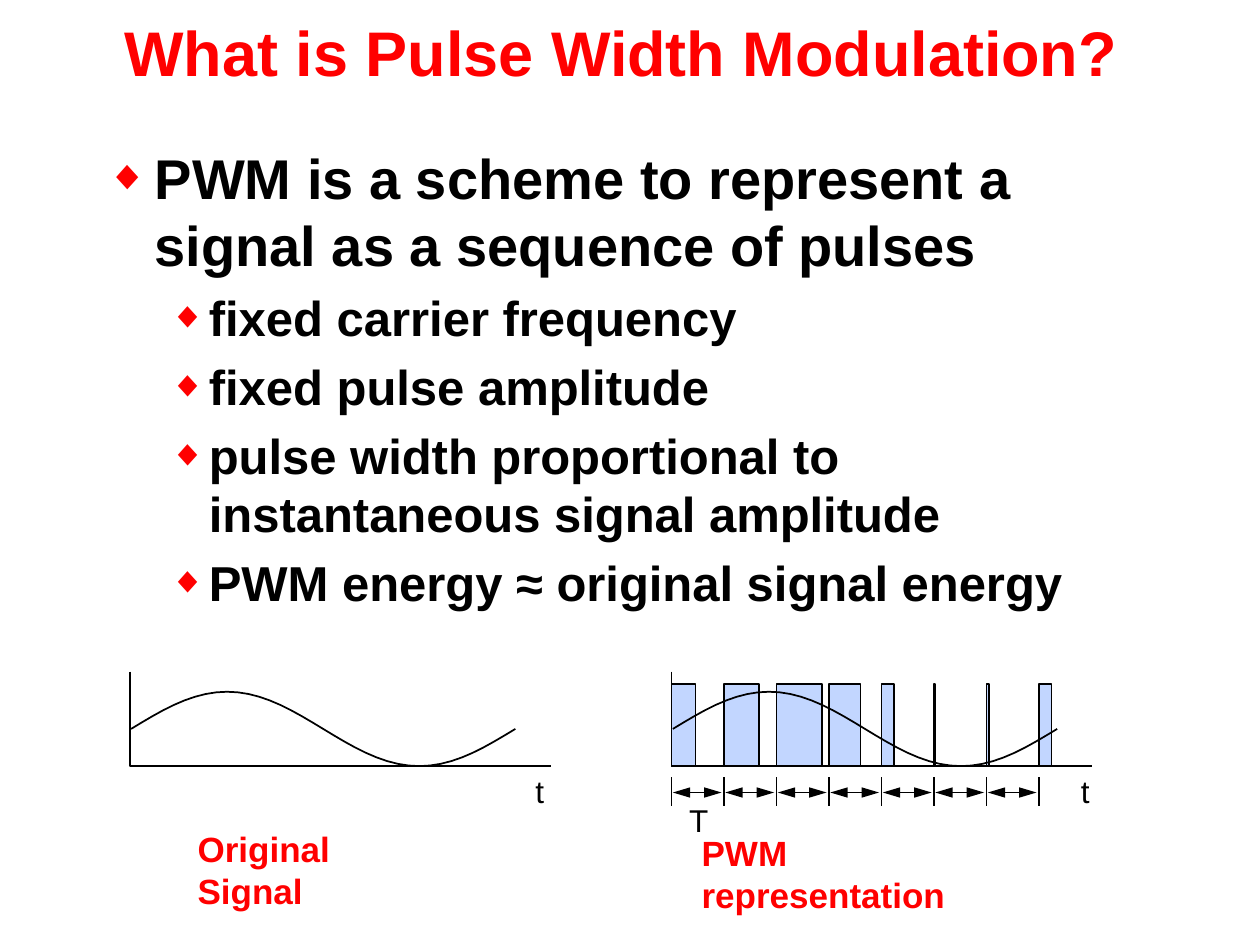
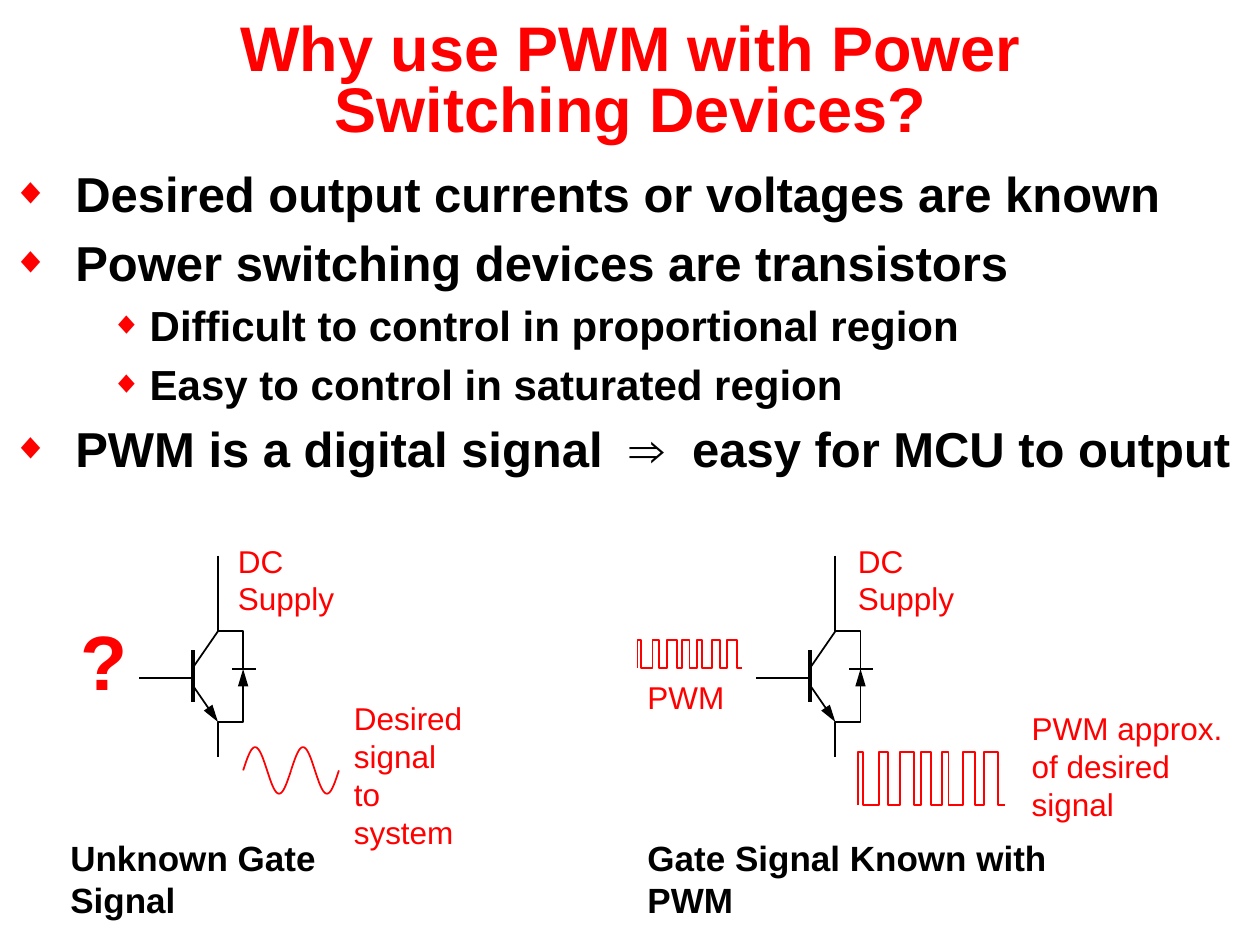
import math

import pptx
import pptx.dml.color
import pptx.enum.shapes
import pptx.enum.text
import pptx.oxml.ns
import pptx.util
from lxml import etree

Inches = pptx.util.Inches
FONT = "Arial"
RED, BLACK, PULSE_BLUE = "FF0000", "000000", "C2D6FF"
TITLE_ONLY = 5


# ---- Shared formatting ----
def colour(value):
    return pptx.dml.color.RGBColor.from_string(value)


def add_child(parent, tag, **attributes):
    child = etree.SubElement(parent, pptx.oxml.ns.qn(tag))
    for name, value in attributes.items():
        child.set(name, str(value))
    return child


def write_paragraph(para, text, size=18, color=BLACK, bold=False):
    span = para.add_run()
    span.text = text
    span.font.name = FONT
    span.font.size = pptx.util.Pt(size)
    span.font.bold = bold
    span.font.color.rgb = colour(color)


def add_text(page, box, text, wrap=False, **style):
    """Place a text box; each line of the text is a paragraph."""
    shape = page.shapes.add_textbox(*map(Inches, box))
    frame = shape.text_frame
    frame.word_wrap = wrap
    for index, line in enumerate(text.split("\n")):
        para = frame.add_paragraph() if index else frame.paragraphs[0]
        write_paragraph(para, line, **style)
    return shape


def format_line(shape, color=BLACK, width=1, head=None, tail=None):
    shape.line.color.rgb = colour(color)
    shape.line.width = pptx.util.Pt(width)
    outline = shape.line._get_or_add_ln()
    for tag, length in (("a:headEnd", head), ("a:tailEnd", tail)):
        if length:
            add_child(outline, tag, type="triangle", w="med", len=length)


def add_line(page, start, end, **style):
    line = page.shapes.add_connector(
        pptx.enum.shapes.MSO_CONNECTOR.STRAIGHT, *map(Inches, (*start, *end)))
    add_child(line._element.spPr, "a:ln")
    format_line(line, **style)
    add_child(line._element.spPr, "a:effectLst")


def add_path(page, points, **style):
    points = [(Inches(x), Inches(y)) for x, y in points]
    builder = page.shapes.build_freeform(*points[0])
    builder.add_line_segments(points[1:], close=False)
    path = builder.convert_to_shape()
    path.fill.background()
    path.shadow.inherit = False
    format_line(path, **style)


def start_page(deck, box, text, line_spacing=1.0):
    page = deck.slides.add_slide(deck.slide_layouts[TITLE_ONLY])
    title = page.shapes.title
    title.left, title.top, title.width, title.height = map(Inches, box)
    frame = title.text_frame
    frame.auto_size = pptx.enum.text.MSO_AUTO_SIZE.NONE
    frame.vertical_anchor = pptx.enum.text.MSO_ANCHOR.MIDDLE
    para = frame.paragraphs[0]
    para.alignment = pptx.enum.text.PP_ALIGN.CENTER
    para.line_spacing = line_spacing
    write_paragraph(para, text, size=36, color=RED, bold=True)
    return page


def add_bullets(page, box, items, levels):
    """Levels hold (text size, left margin, hanging indent)."""
    frame = page.shapes.add_textbox(*map(Inches, box)).text_frame
    frame.word_wrap = True
    for index, (level, text) in enumerate(items):
        size, margin, hanging = levels[level]
        para = frame.add_paragraph() if index else frame.paragraphs[0]
        para.level = level
        para.space_before = pptx.util.Pt(0.2 * size if index else 0)
        write_paragraph(para, text, size=size, bold=True)
        properties = para._p.get_or_add_pPr()
        properties.set("marL", str(Inches(margin)))
        properties.set("indent", str(-Inches(hanging)))
        add_child(add_child(properties, "a:buClr"), "a:srgbClr", val=RED)
        add_child(properties, "a:buSzPct", val=75000)
        add_child(properties, "a:buFont", typeface=FONT)
        add_child(properties, "a:buChar", char="◆")


# ---- Waveforms ----
def add_sine(page, box, steps=36, **style):
    left, top, width, height = box
    add_path(page, [
        (left + width * step / steps,
         top + height / 2 * (1 - math.sin(2 * math.pi * step / steps)))
        for step in range(steps + 1)], **style)


def add_pulse_train(page, box):
    left, top, width, height = box
    duties = (0.24, 0.42, 0.66, 0.48, 0.3, 0.54, 0.66)
    period = width / len(duties)
    base = top + height
    points = []
    for index, duty in enumerate(duties):
        rise = left + index * period
        fall = rise + duty * period
        points += [(rise, base), (rise, top), (fall, top), (fall, base)]
    add_path(page, points + [(left + width, base)], color=RED)


# ---- Signal plots ----
PLOT_WIDTH, PLOT_HEIGHT = 3.34, 0.75


def add_axes(page, left, top):
    base = top + PLOT_HEIGHT
    add_path(page, [(left, top), (left, base), (left + PLOT_WIDTH, base)])


def add_signal(page, left, top):
    add_sine(page, (left + 0.01, top + 0.16, 3.05, 0.59))


def add_original_plot(page, left, top):
    add_axes(page, left, top)
    add_signal(page, left, top)
    add_text(page, (left + 3.12, top + 0.75, 0.27, 0.4), "t")
    add_text(page, (left + 0.44, top + 1.19, 2.1, 0.43), "Original Signal",
             wrap=True, size=20, color=RED, bold=True)


def add_pwm_plot(page, left, top):
    add_axes(page, left, top)
    period = 2.5 / 6
    pulse_widths = (0.19, 0.28, 0.36, 0.25, 0.1, 0.01, 0.02, 0.1)
    for index, pulse_width in enumerate(pulse_widths):
        pulse = page.shapes.add_shape(
            pptx.enum.shapes.MSO_SHAPE.RECTANGLE,
            *map(Inches, (left + index * period, top + 0.1, pulse_width, 0.65)))
        pulse.fill.solid()
        pulse.fill.fore_color.rgb = colour(PULSE_BLUE)
        pulse.shadow.inherit = False
        format_line(pulse)
    # Period marks and the arrows between them
    for index in range(len(pulse_widths)):
        mark = left + index * period
        add_line(page, (mark, top + 0.84), (mark, top + 1.07))
        if index < len(pulse_widths) - 1:
            add_line(page, (mark + 0.01, top + 0.96),
                     (mark + period - 0.02, top + 0.96), head="lg", tail="lg")
    add_text(page, (left + 0.04, top + 0.98, 0.35, 0.4), "T")
    add_text(page, (left + 3.15, top + 0.75, 0.27, 0.4), "t")
    add_signal(page, left, top)
    add_text(page, (left + 0.14, top + 1.22, 2.8, 0.43), "PWM representation",
             wrap=True, size=20, color=RED, bold=True)


# ---- Transistor circuits ----
def add_transistor(page, left, top):
    def at(*points):
        return [(left + x, top + y) for x, y in points]

    add_line(page, *at((0.43, 0.75), (0.43, 1.16)), width=2)
    add_line(page, *at((0.43, 0.89), (0.63, 0.6)))
    add_line(page, *at((0.42, 0.97), (0, 0.97)))
    add_line(page, *at((0.74, 0.9), (0.93, 0.9)))
    add_path(page, at((0.63, 0), (0.63, 0.6), (0.83, 0.6), (0.83, 0.9)))
    add_path(page, at((0.83, 0.9), (0.83, 1.32), (0.63, 1.32), (0.63, 1.6)),
             head="lg")
    add_line(page, *at((0.43, 1.03), (0.63, 1.32)), tail="lg")


def add_circuit(page, left, top, supply_offset, caption, caption_box):
    add_transistor(page, left, top)
    add_text(page, (left + supply_offset, top - 0.16, 1.39, 0.4), "DC Supply",
             color=RED)
    x, y, width, height = caption_box
    add_text(page, (left + x, top + y, width, height), caption,
             wrap=True, size=20, bold=True)


def add_unknown_gate(page, left, top):
    add_circuit(page, left, top, 0.69, "Unknown Gate Signal",
                (-0.64, 2.18, 3, 0.43))
    add_text(page, (left - 0.56, top + 0.41, 0.57, 0.83), "?",
             size=44, color=RED, bold=True)
    for cycle in range(2):
        add_sine(page, (left + 0.83 + cycle * 0.38, top + 1.52, 0.38, 0.37),
                 color=RED)
    add_text(page, (left + 1.61, top + 1.09, 1.1, 1),
             "Desired\nsignal to\nsystem", wrap=True, color=RED)


def add_known_gate(page, left, top):
    add_circuit(page, left, top, 0.71, "Gate Signal Known with PWM",
                (-0.96, 2.18, 4.05, 0.43))
    add_pulse_train(page, (left - 0.94, top + 0.67, 0.83, 0.22))
    add_text(page, (left - 0.96, top + 0.92, 0.81, 0.4), "PWM", color=RED)
    add_pulse_train(page, (left + 0.81, top + 1.56, 1.17, 0.42))
    add_text(page, (left + 2.09, top + 1.17, 1.83, 1),
             "PWM approx.\nof desired signal", wrap=True, color=RED)


# ---- Slides ----
def build_definition(deck):
    page = start_page(deck, (0, 0, 10, 0.81),
                      "What is Pulse Width Modulation? ")
    add_bullets(page, (0.75, 1.09, 8.5, 4.4), [
        (0, "PWM is a scheme to represent a signal as a sequence of pulses"),
        (1, "fixed carrier frequency"),
        (1, "fixed pulse amplitude"),
        (1, "pulse width proportional to instantaneous signal amplitude"),
        (1, "PWM energy ≈ original signal energy"),
    ], [(32, 0.38, 0.38), (28, 0.81, 0.31)])
    add_original_plot(page, 1.03, 5.33)
    add_pwm_plot(page, 5.33, 5.33)


def build_reasons(deck):
    page = start_page(deck, (0.67, 0.14, 8.67, 1.05),
                      "Why use PWM with Power Switching Devices?", 0.8)
    add_bullets(page, (0, 1.25, 10, 2.83), [
        (0, "Desired output currents or voltages are known"),
        (0, "Power switching devices are transistors"),
        (1, "Difficult to control in proportional region"),
        (1, "Easy to control in saturated region"),
        (0, "PWM is a digital signal  ⇒  easy for MCU to output"),
    ], [(28, 0.5, 0.5), (24, 1.09, 0.31)])
    add_unknown_gate(page, 1.1, 4.41)
    add_known_gate(page, 6, 4.41)


def main():
    deck = pptx.Presentation()
    deck.slide_width, deck.slide_height = Inches(10), Inches(7.5)
    build_definition(deck)
    build_reasons(deck)
    deck.save("out.pptx")


if __name__ == "__main__":
    main()
